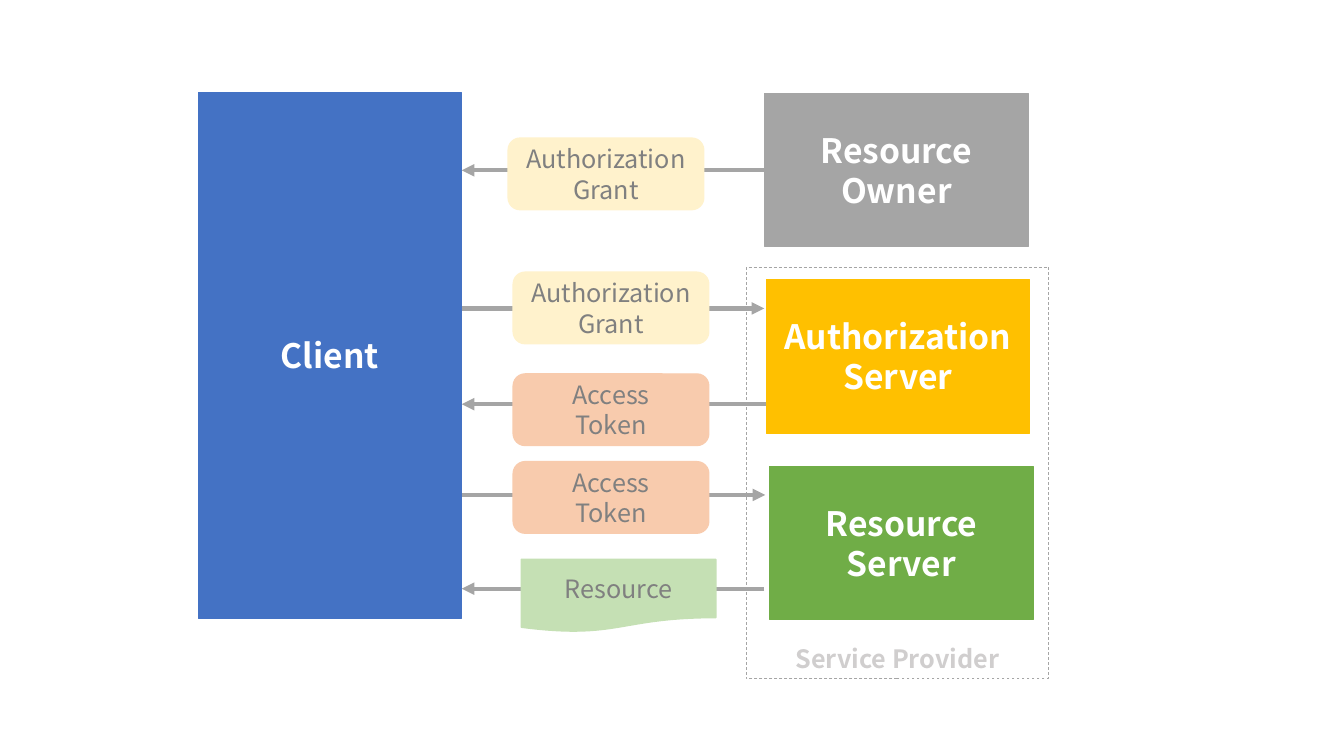
from lxml.etree import SubElement
from pptx import Presentation
from pptx.dml.color import RGBColor
from pptx.enum.dml import MSO_LINE
from pptx.enum.shapes import MSO_CONNECTOR, MSO_SHAPE
from pptx.enum.text import MSO_ANCHOR, PP_ALIGN
from pptx.oxml.ns import qn
from pptx.util import Emu, Inches, Pt

FONT = "Noto Sans CJK JP"
CELL = Inches(0.1)  # side of one grid cell
COLORS = {
    "client": "4472C4", "owner": "A5A5A5", "auth": "FFC000", "server": "70AD47",
    "grant": "FFF2CC", "token": "F8CBAD", "data": "C5E0B4",
    "arrow": "A5A5A5", "white": "FFFFFF", "label": "808080", "note": "D0CECE",
}

# Lengths below are in grid cells.
# text, color, left, top, height
ROLES = [
    ("Client", "client", 19.65, 9.15, 52.2),
    ("Resource\nServer", "server", 76.35, 46.25, 15.2),
    ("Authorization\nServer", "auth", 76, 27.7, 15.3),
    ("Resource\nOwner", "owner", 75.85, 9.25, 15.2),
]
ROLE_WIDTH = 26.1
CLIENT_EDGE = 45.8

# text, color, arrow row, arrow's right end, to client, left, top
FLOWS = [
    ("Authorization\nGrant", "grant", 16.9, 75.8, True, 50.4, 13.7),
    ("Authorization\nGrant", "grant", 30.6, 75.8, False, 50.9, 27),
    ("Access\nToken", "token", 40.1, 76, True, 50.9, 37.1),
    ("Access\nToken", "token", 49.1, 75.9, False, 50.9, 45.8),
    ("Resource", "data", 58.4, 75.8, True, 51.7, 55.5),
]
TAG_SIZE = (19.4, 7.1)
PAGE_SIZE = (19.3, 7.2)
PROVIDER = ("Service Provider", (74, 26.5, 30, 40.8))


def grid(*cells):
    return [Emu(round(n * CELL)) for n in cells]


def rgb(name):
    return RGBColor.from_string(COLORS[name])


def write(shape, text, size=18, color="label", bold=False, anchor=MSO_ANCHOR.MIDDLE):
    frame = shape.text_frame
    frame.word_wrap = True
    frame.vertical_anchor = anchor
    for i, line in enumerate(text.split("\n")):
        para = frame.add_paragraph() if i else frame.paragraphs[0]
        para.alignment = PP_ALIGN.CENTER
        run = para.add_run()
        run.text = line
        run.font.name = FONT
        run.font.size = Pt(size)
        run.font.bold = bold
        run.font.color.rgb = rgb(color)


def block(slide, kind, cells, line, width, fill=None):
    shape = slide.shapes.add_shape(kind, *grid(*cells))
    shape.shadow.inherit = False
    if fill:
        shape.fill.solid()
        shape.fill.fore_color.rgb = rgb(fill)
    else:
        shape.fill.background()
    shape.line.color.rgb = rgb(line)
    shape.line.width = Pt(width)
    return shape


def arrow(slide, start, end, row):
    link = slide.shapes.add_connector(
        MSO_CONNECTOR.STRAIGHT, *grid(start, row, end, row))
    link.line.color.rgb = rgb("arrow")
    link.line.width = Pt(3)
    props = link.line._get_or_add_ln()
    SubElement(props, qn("a:tailEnd"), type="triangle")
    SubElement(link._element.spPr, qn("a:effectLst"))


def main():
    deck = Presentation()
    deck.slide_width, deck.slide_height = Inches(13.33), Inches(7.5)
    slide = deck.slides.add_slide(deck.slide_layouts[6])

    for text, color, left, top, height in ROLES:
        box = block(slide, MSO_SHAPE.RECTANGLE, (left, top, ROLE_WIDTH, height),
                    color, 0.5, fill=color)
        write(box, text, size=24, color="white", bold=True)

    for text, color, row, right, back, left, top in FLOWS:
        ends = (right, CLIENT_EDGE) if back else (CLIENT_EDGE, right)
        arrow(slide, *ends, row)
        page = color == "data"
        kind = MSO_SHAPE.FLOWCHART_DOCUMENT if page else MSO_SHAPE.ROUNDED_RECTANGLE
        size = PAGE_SIZE if page else TAG_SIZE
        write(block(slide, kind, (left, top, *size), color, 1, fill=color), text)

    text, cells = PROVIDER
    frame = block(slide, MSO_SHAPE.RECTANGLE, cells, "arrow", 0.5)
    frame.line.dash_style = MSO_LINE.DASH
    write(frame, text, color="note", bold=True, anchor=MSO_ANCHOR.BOTTOM)
    deck.save("out.pptx")


if __name__ == "__main__":
    main()
